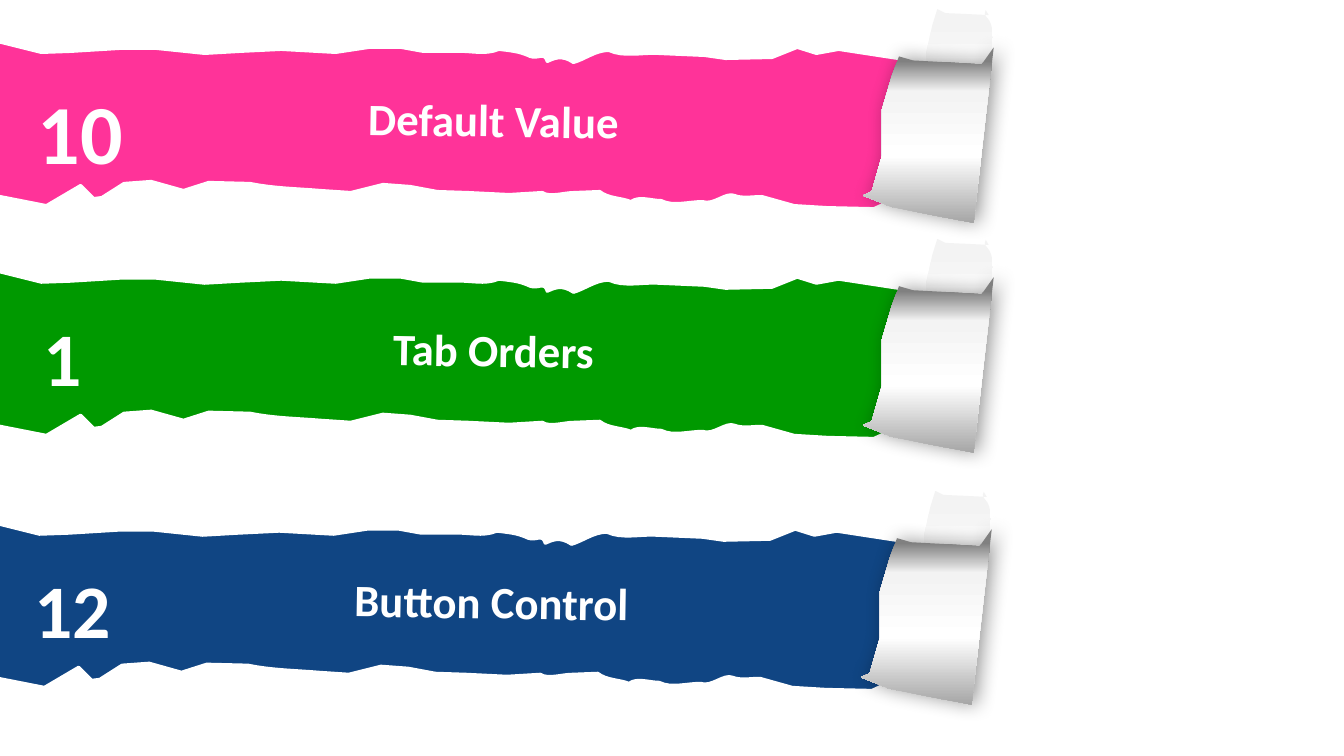
import pptx
import pptx.util
import pptx.dml.color
import pptx.enum.text
import pptx.oxml
import pptx.oxml.ns
from lxml import etree

BANDS = [
    {"number": "10", "title": "Default Value", "color": "FF3399",
     "size": 60, "width": 2.9, "height": 2.82, "shift": (0, 0)},
    {"number": "11", "title": "Tab Orders", "color": "009900",
     "size": 54, "width": 2, "height": 2.57, "shift": (0, 5.79)},
    {"number": "12", "title": "Button Control", "color": "104583",
     "size": 54, "width": 2.6, "height": 2.57, "shift": (-0.05, 12.14)},
]
NUMBER_PLACE = (0.58, 1.91)
TITLE_PLACE = (3.15, 2.21)
TITLE_SIZE = (18.57, 1.63)

UNIT = 0.0254
STRIP = [
    (-5, 194), (46, 204), (80, 184), (93, 197), (101, 196), (123, 182),
    (150, 180), (182, 189), (207, 181), (248, 182),
    (273, 187, 295, 187, 318, 189), (348, 191), (380, 183), (407, 185),
    (434, 190), (464, 191), (505, 193), (538, 191),
    (546, 196, 559, 191, 570, 191), (595, 190),
    (604, 197, 616, 196, 626, 200), (634, 194, 646, 199, 656, 199),
    (668, 205, 683, 200, 697, 200), (708, 204, 720, 190, 729, 194),
    (736, 197, 747, 195, 756, 195), (788, 204), (821, 206), (867, 207),
    (878, 202), (884, 189), (895, 133), (894, 98), (901, 66), (904, 60),
    (832, 49), (810, 53), (791, 47), (766, 57), (720, 58), (699, 55),
    (653, 53), (637, 52, 619, 57, 604, 50), (591, 50, 580, 59, 569, 62),
    (557, 54, 550, 58, 543, 61), (540, 51, 534, 59, 526, 56),
    (517, 52, 513, 51, 495, 49), (480, 55, 467, 50, 452, 51), (420, 51),
    (398, 47), (366, 47), (333, 52), (279, 49), (238, 51), (203, 53),
    (155, 48), (119, 48), (70, 51), (41, 52), (1, 42), (-18, 43),
    (-10, 84), (-17, 162),
]
FLAP = [
    (906, 122), (923, 131), (948, 137), (974, 144),
    (978, 108, 984, 59, 985, 37), (985, 14, 974, 19, 978, 10), (981, 15),
    (961, 14), (938, 13), (930, 9), (925, 25), (919, 53), (918, 90),
    (912, 119),
]
CURL = [
    (856, 194), (884, 205), (923, 213), (966, 221), (981, 90), (986, 47),
    (974, 64), (943, 62), (906, 60), (892, 56), (885, 75), (875, 109),
    (875, 155), (865, 190),
]
FLAP_STOPS = [(8, "F3F3F3"), (62, "FFFFFF"), (100, "A6A6A6")]
CURL_STOPS = [(8, "808080"), (25, "F3F3F3"), (62, "FFFFFF"), (100, "A6A6A6")]
CURVE_STEPS = 8


def rgb(value):
    return pptx.dml.color.RGBColor.from_string(value)


def flatten(outline):
    points = [outline[0]]
    for step in outline[1:]:
        if len(step) == 2:
            points.append(step)
            continue
        start = points[-1]
        for index in range(1, CURVE_STEPS + 1):
            t = index / CURVE_STEPS
            u = 1 - t
            points.append(tuple(
                u ** 3 * start[axis] + 3 * u * u * t * step[axis]
                + 3 * u * t * t * step[axis + 2] + t ** 3 * step[axis + 4]
                for axis in (0, 1)))
    return points


def add_outline(page, outline, shift):
    points = [tuple(pptx.util.Cm(value * UNIT + move)
                    for value, move in zip(point, shift))
              for point in flatten(outline)]
    builder = page.shapes.build_freeform(*points[0], scale=1.0)
    builder.add_line_segments(points[1:], close=True)
    shape = builder.convert_to_shape()
    shape.shadow.inherit = False
    return shape


def add_paper(page, outline, shift, stops):
    shape = add_outline(page, outline, shift)
    shape.line.fill.background()
    shape.fill.gradient()
    shape.fill.gradient_angle = 270
    stop_list = shape._element.spPr.find(".//" + pptx.oxml.ns.qn("a:gsLst"))
    for old in list(stop_list):
        stop_list.remove(old)
    for position, color in stops:
        stop = etree.SubElement(stop_list, pptx.oxml.ns.qn("a:gs"),
                                pos=str(position * 1000))
        etree.SubElement(stop, pptx.oxml.ns.qn("a:srgbClr"), val=color)
    return shape


def add_shadow(shape):
    effects = shape._element.spPr.find(pptx.oxml.ns.qn("a:effectLst"))
    effects.append(pptx.oxml.parse_xml(
        f'<a:outerShdw {pptx.oxml.ns.nsdecls("a")} '
        f'blurRad="{pptx.util.Pt(14)}" dist="{pptx.util.Pt(3)}" dir="0" '
        'algn="l" rotWithShape="0"><a:srgbClr val="000000">'
        '<a:alpha val="40000"/></a:srgbClr></a:outerShdw>'))


def add_text(page, text, place, extent, size, rotation=0, wrap=True):
    box = page.shapes.add_textbox(
        *(pptx.util.Cm(value) for value in (*place, *extent)))
    box.rotation = rotation
    box.text_frame.word_wrap = wrap
    para = box.text_frame.paragraphs[0]
    para.alignment = pptx.enum.text.PP_ALIGN.CENTER
    span = para.add_run()
    span.text = text
    span.font.name = "Calibri"
    span.font.size = pptx.util.Pt(size)
    span.font.bold = True
    span.font.color.rgb = rgb("FFFFFF")


def moved(place, shift):
    return tuple(value + move for value, move in zip(place, shift))


def add_band(page, band):
    shift = band["shift"]
    strip = add_outline(page, STRIP, shift)
    strip.fill.solid()
    strip.fill.fore_color.rgb = rgb(band["color"])
    strip.line.color.rgb = rgb("FFFFFF")
    strip.line.width = pptx.util.Pt(2.25)
    add_paper(page, FLAP, shift, FLAP_STOPS)
    add_shadow(add_paper(page, CURL, shift, CURL_STOPS))
    add_text(page, band["number"], moved(NUMBER_PLACE, shift),
             (band["width"], band["height"]), band["size"], wrap=False)
    add_text(page, band["title"], moved(TITLE_PLACE, shift),
             TITLE_SIZE, 32, rotation=1)


def main():
    deck = pptx.Presentation()
    deck.slide_width = pptx.util.Cm(33.87)
    deck.slide_height = pptx.util.Cm(19.05)
    page = deck.slides.add_slide(deck.slide_layouts[6])
    for band in BANDS:
        add_band(page, band)
    deck.save("out.pptx")


if __name__ == "__main__":
    main()
